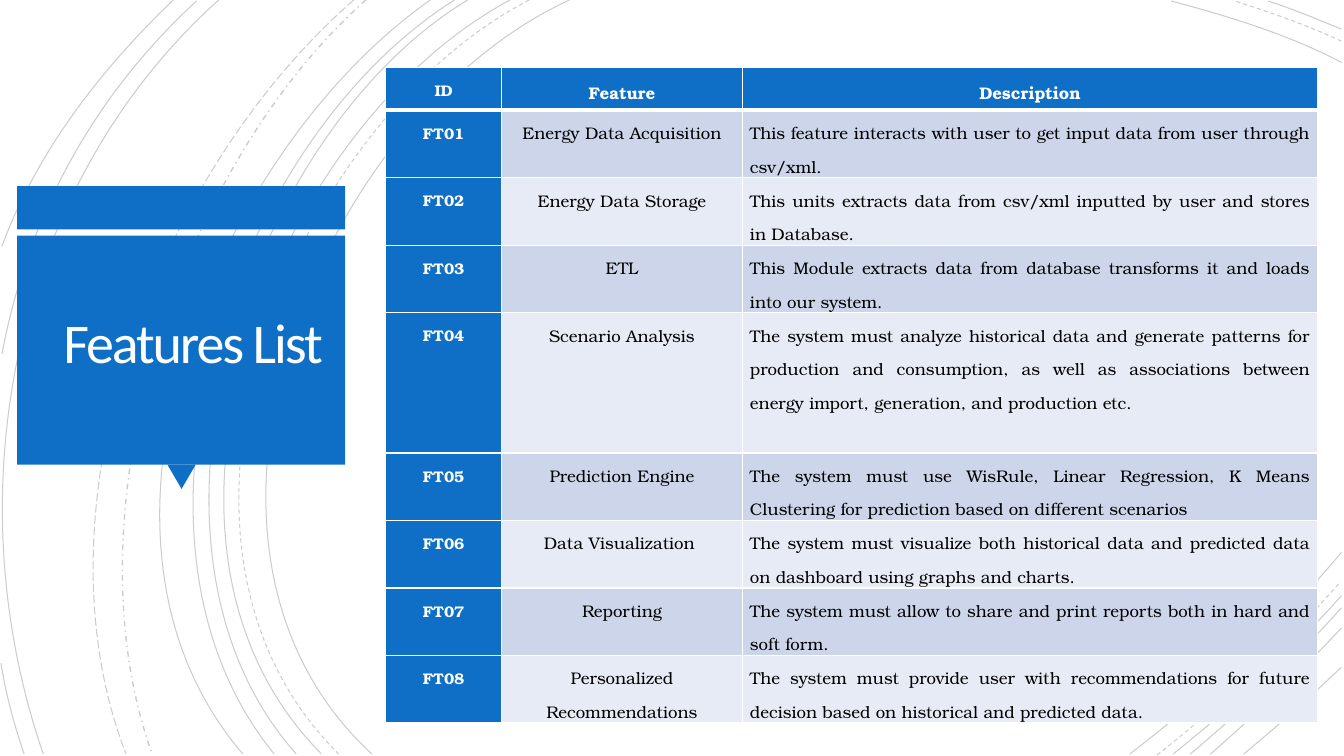
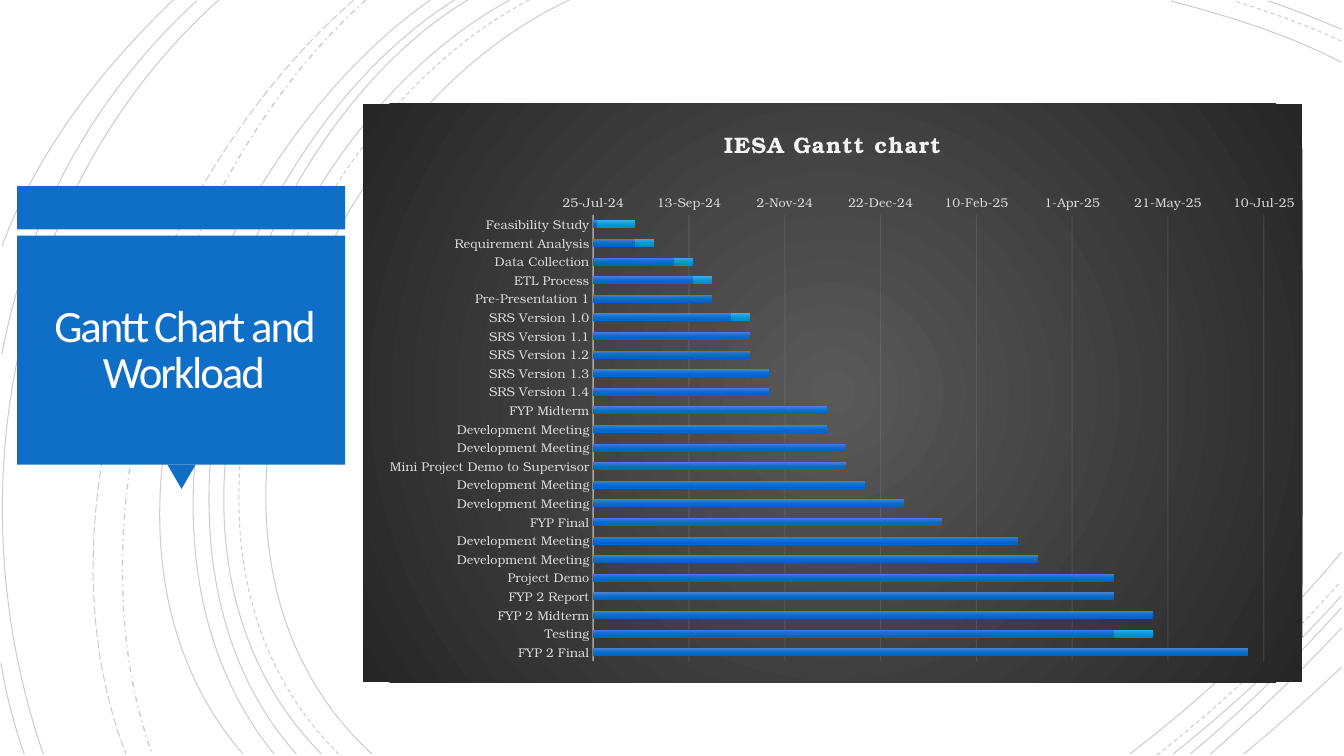
from lxml import etree
from pptx import Presentation, util as u
from pptx.chart.data import CategoryChartData
from pptx.dml.color import RGBColor
from pptx.enum import chart as ch, dml, shapes, text
from pptx.oxml.ns import qn

COLORS = {
    "accent": "0F6FC6", "band_dark": "CCD5EA", "band_light": "E7EBF5",
    "white": "FFFFFF", "title": "FFFEFF", "black": "000000",
    "label": "D9D9D9", "axis": "F2F2F2",
}
TITLE_FONT, BODY_FONT = "Calibri", "TeX Gyre Bonum"
ALIGN, DASH = text.PP_ALIGN, dml.MSO_LINE
GRID = 2.54  # cm per unit of the curve coordinates

# Bezier arcs: start, two controls, end
SOLID_ARCS = [
    (5.65, 0, 3.15, 1.15, 1.43, 5.4, 3.69, 7.48),
    (13.31, 0.62, 12.78, 0.34, 12.18, 0.16, 11.62, 0.01),
    (11.21, 7.48, 11.97, 6.9, 12.69, 6.22, 13.31, 5.48),
    (5.06, 0, 2.7, 1.27, 1.1, 5.37, 3.19, 7.48),
    (13.31, 0.29, 13.07, 0.19, 12.83, 0.09, 12.58, 0.01),
    (11.64, 7.48, 12.23, 7.01, 12.8, 6.48, 13.31, 5.91),
    (4.64, 0, 2.44, 1.33, 1.1, 5.41, 2.94, 7.48),
    (11.81, 7.48, 12.34, 7.04, 12.84, 6.55, 13.31, 6.03),
    (4.51, 0, 2.31, 1.38, 0.97, 5.33, 2.72, 7.48),
    (12.01, 7.48, 12.46, 7.09, 12.9, 6.67, 13.31, 6.23),
    (4.27, 0, 2.17, 1.47, 0.53, 5.29, 2.41, 7.48),
    (12.34, 7.48, 12.67, 7.21, 12.99, 6.92, 13.31, 6.62),
    (2.17, 0, 0.11, 1.85, -0.46, 4.9, 0.43, 7.48),
    (1.95, 0.01, 0.92, 0.96, 0.28, 2.14, 0.02, 3.51),
    (0.01, 6.58, 0.06, 6.89, 0.14, 7.19, 0.24, 7.48),
    (1.72, 0, 1, 0.69, 0.37, 1.5, 0.02, 2.44),
]
DASHED_ARCS = [
    (5.25, 0, 2.85, 1.25, 1.23, 5.37, 3.36, 7.48),
    (13.31, 0.41, 12.97, 0.25, 12.6, 0.12, 12.25, 0.01),
    (11.48, 7.49, 12.13, 6.98, 12.75, 6.4, 13.3, 5.77),
]
DASH_DOT_ARCS = [(3.63, 0, 1.76, 1.66, 0.65, 5.09, 1.51, 7.48)]
LONG_DASH_ARCS = [(3.51, 0, 1.57, 1.69, 0.29, 4.99, 1.25, 7.48)]
ARC_STYLES = [
    (SOLID_ARCS, DASH.SOLID, 0.75), (DASHED_ARCS, DASH.DASH, 0.75),
    (DASH_DOT_ARCS, DASH.DASH_DOT, 1), (LONG_DASH_ARCS, DASH.LONG_DASH, 0.75),
]

FEATURES = [
    ("Energy Data Acquisition",
     "This feature interacts with user to get input data from user through csv/xml."),
    ("Energy Data Storage",
     "This units extracts data from csv/xml inputted by user and stores in Database."),
    ("ETL",
     "This Module extracts data from database transforms it and loads into our system."),
    ("Scenario Analysis",
     "The system must analyze historical data and generate patterns for production and "
     "consumption, as well as associations between energy import, generation, and "
     "production etc."),
    ("Prediction Engine",
     "The system must use WisRule, Linear Regression, K Means Clustering for prediction "
     "based on different scenarios"),
    ("Data Visualization ",
     "The system must visualize both historical data and predicted data on dashboard "
     "using graphs and charts."),
    ("Reporting",
     "The system must allow to share and print reports both in hard and soft form."),
    ("Personalized Recommendations",
     "The system must provide user with recommendations for future decision based on "
     "historical and predicted data."),
]

# Task, start as a day number, length in days
TASKS = [
    ("Feasibility Study", 45500, 20), ("Requirement Analysis", 45520, 10),
    ("Data Collection", 45540, 10), ("ETL Process", 45550, 10),
    ("Pre-Presentation 1", 45560, 0), ("SRS Version 1.0", 45570, 10),
    ("SRS Version 1.1", 45580, 0), ("SRS Version 1.2", 45580, 0),
    ("SRS Version 1.3", 45590, 0), ("SRS Version 1.4", 45590, 0),
    ("FYP Midterm", 45620, 0), ("Development Meeting", 45620, 0),
    ("Development Meeting", 45630, 0), ("Mini Project Demo to Supervisor", 45630, 0),
    ("Development Meeting", 45640, 0), ("Development Meeting", 45660, 0),
    ("FYP Final", 45680, 0), ("Development Meeting", 45720, 0),
    ("Development Meeting", 45730, 0), ("Project Demo", 45770, 0),
    ("FYP 2 Report", 45770, 0), ("FYP 2 Midterm", 45790, 0),
    ("Testing", 45770, 20), ("FYP 2 Final", 45840, 0),
]
BAR_GRADIENTS = [("4C80D0", "066FCF", "0063BD"), ("4BA8E0", "009DD9", "008CC1")]


def rgb(name):
    return RGBColor.from_string(COLORS[name])


def box(*lengths):
    return [u.Cm(v) for v in lengths]


def sub(parent, tag, **attrs):
    return etree.SubElement(parent, qn(tag), {k: str(v) for k, v in attrs.items()})


def style_line(line, color, width, alpha):
    line.color.rgb = rgb(color)
    line.width = u.Pt(width)
    clr = line._get_or_add_ln().find(".//" + qn("a:srgbClr"))
    sub(clr, "a:alpha", val=alpha * 1000)


def style_font(font, size, color, bold=False, name=BODY_FONT):
    font.name, font.size, font.bold = name, u.Pt(size), bold
    font.color.rgb = rgb(color)


# Shared backdrop
def add_arc(s, arc, dash, width):
    start, *rest = [box(x * GRID, y * GRID) for x, y in zip(arc[::2], arc[1::2])]
    fb = s.shapes.build_freeform(*start)
    fb.add_line_segments(rest, close=False)
    sp = fb.convert_to_shape()
    # Turn the three segments into one cubic curve
    outline = sp.element.find(".//" + qn("a:path"))
    curve = sub(outline, "a:cubicBezTo")
    for segment in outline.findall(qn("a:lnTo")):
        curve.append(segment[0])
        outline.remove(segment)
    sp.shadow.inherit = False
    sp.fill.background()
    style_line(sp.line, "black", width, 20)
    sp.line.dash_style = dash
    return sp


def add_panel(s, kind, at, rotation=0):
    sp = s.shapes.add_shape(kind, *box(*at))
    sp.rotation = rotation
    sp.shadow.inherit = False
    sp.fill.solid()
    sp.fill.fore_color.rgb = rgb("accent")
    sp.line.fill.background()
    return sp


def add_backdrop(s, layout):
    """Draw the arcs and the title panel, then move them to the shared layout."""
    for sp in list(layout.placeholders)[1:]:
        layout.shapes.element.remove(sp.element)
    parts = [add_arc(s, arc, dash, width)
             for arcs, dash, width in ARC_STYLES for arc in arcs]
    kinds = shapes.MSO_SHAPE
    parts += [
        add_panel(s, kinds.RECTANGLE, (0.43, 4.69, 8.27, 1.09)),
        add_panel(s, kinds.ISOSCELES_TRIANGLE, (4.22, 11.71, 0.71, 0.61), 180),
        add_panel(s, kinds.RECTANGLE, (0.43, 5.94, 8.27, 5.77)),
    ]
    for number, sp in enumerate(parts, 100):
        sp.element.nvSpPr.cNvPr.set("id", str(number))
        layout.shapes.element.append(sp.element)


def set_title(s, title, size, left, top):
    sp = s.shapes.title
    sp.left, sp.top, sp.width, sp.height = box(left, top, 9.73, 6.83)
    tf = sp.text_frame
    tf.auto_size = text.MSO_AUTO_SIZE.NONE
    tf.word_wrap = True
    tf.vertical_anchor = text.MSO_ANCHOR.MIDDLE
    tf.margin_left = tf.margin_right = tf.margin_top = tf.margin_bottom = u.Cm(0.64)
    p = tf.paragraphs[0]
    p.alignment, p.line_spacing = ALIGN.CENTER, 0.85
    r = p.add_run()
    r.text = title
    style_font(r.font, size, "title", name=TITLE_FONT)
    r._r.get_or_add_rPr().set("spc", "-150")


# Table
def fill_cell(cell, words, fill, size, color, bold, align, bottom=1):
    tcPr = cell._tc.get_or_add_tcPr()
    for side, width in zip("LRTB", (1, 1, 1, bottom)):
        ln = sub(tcPr, "a:ln" + side, w=u.Pt(width))
        sub(sub(ln, "a:solidFill"), "a:srgbClr", val=COLORS["white"])
    cell.fill.solid()
    cell.fill.fore_color.rgb = rgb(fill)
    cell.margin_left = cell.margin_right = u.Cm(0.19)
    cell.margin_top = cell.margin_bottom = 0
    p = cell.text_frame.paragraphs[0]
    p.alignment, p.line_spacing = align, 1.5
    r = p.add_run()
    r.text = words
    style_font(r.font, size, color, bold)


def add_feature_table(s):
    widths = (2.92, 6.07, 14.5)
    heights = [1.07] + [1.7] * len(FEATURES)
    heights[4] = 3.53
    at = box(9.72, 1.71, sum(widths), sum(heights))
    table = s.shapes.add_table(len(heights), len(widths), *at).table
    table.horz_banding = False
    for col, width in zip(table.columns, widths):
        col.width = u.Cm(width)
    for row, height in zip(table.rows, heights):
        row.height = u.Cm(height)
    for c, head in enumerate(("ID", "Feature", "Description")):
        fill_cell(table.cell(0, c), head, "accent", 12 if c else 11, "white", True,
                  ALIGN.CENTER, bottom=3)
    for n, (feature, description) in enumerate(FEATURES, 1):
        band = "band_dark" if n % 2 else "band_light"
        fill_cell(table.cell(n, 0), f"FT{n:02}", "accent", 11, "white", True, ALIGN.CENTER)
        fill_cell(table.cell(n, 1), feature, band, 12, "black", False, ALIGN.CENTER)
        fill_cell(table.cell(n, 2), description, band, 12, "black", False, ALIGN.JUSTIFY)


# Chart
def add_gradient(spPr, stops, circle=False):
    """Put evenly spaced stops into spPr, top to bottom or from the centre."""
    grad = sub(spPr, "a:gradFill", rotWithShape=1)
    gsLst = sub(grad, "a:gsLst")
    for i, stop in enumerate(stops):
        gs = sub(gsLst, "a:gs", pos=100000 * i // (len(stops) - 1))
        sub(gs, "a:srgbClr", val=stop)
    if circle:
        sub(sub(grad, "a:path", path="circle"), "a:fillToRect",
            l=50000, t=50000, r=50000, b=50000)
    else:
        sub(grad, "a:lin", ang=5400000, scaled=0)


def place(parent, index, **fractions):
    """Give a chart part a manual layout, as fractions of the chart."""
    for old in parent.findall(qn("c:layout")):
        parent.remove(old)
    layout = etree.Element(qn("c:layout"))
    parent.insert(index, layout)
    manual = sub(layout, "c:manualLayout")
    if "w" in fractions:
        sub(manual, "c:layoutTarget", val="inner")
    for key in "xy":
        sub(manual, f"c:{key}Mode", val="edge")
    for key, value in fractions.items():
        sub(manual, "c:" + key, val=value)


def style_axis(axis):
    axis.major_tick_mark = axis.minor_tick_mark = ch.XL_TICK_MARK.NONE
    style_font(axis.tick_labels.font, 9, "label")


def add_gantt(s):
    names, starts, days = zip(*TASKS)
    data = CategoryChartData()
    data.categories = names
    data.add_series("Series 1", starts)
    data.add_series("Series 2", days)
    chart = s.shapes.add_chart(ch.XL_CHART_TYPE.BAR_STACKED,
                               *box(9.15, 2.62, 23.67, 14.57), data).chart
    chart.has_legend = False
    style_font(chart.font, 10, "black")

    # Dark background
    space = chart._chartSpace
    spPr = etree.Element(qn("c:spPr"))
    space.find(qn("c:txPr")).addprevious(spPr)
    add_gradient(spPr, ("595959", "262626"), circle=True)
    sub(sub(spPr, "a:ln"), "a:noFill")

    # Title and plot area
    chart.has_title = True
    r = chart.chart_title.text_frame.paragraphs[0].add_run()
    r.text = "IESA Gantt chart"
    style_font(r.font, 16, "axis", True)
    r._r.get_or_add_rPr().set("spc", "100")
    place(space.find(".//" + qn("c:title")), 1, x=0.38, y=0.03)
    place(space.find(".//" + qn("c:plotArea")), 0, x=0.245, y=0.192, w=0.714, h=0.772)

    # Bars
    plot = chart.plots[0]
    plot.vary_by_categories = False
    plot.gap_width, plot.overlap = 150, 100
    for ser, stops in zip(plot.series, BAR_GRADIENTS):
        add_gradient(ser._element.get_or_add_spPr(), stops)

    # Axes
    cat, val = chart.category_axis, chart.value_axis
    for axis in (cat, val):
        style_axis(axis)
    cat.reverse_order = True
    style_line(cat.format.line, "axis", 1, 54)
    val.minimum_scale, val.maximum_scale, val.major_unit = 45498, 45848, 50
    val.format.line.fill.background()
    style_line(val.major_gridlines.format.line, "axis", 0.75, 10)
    val.tick_labels.number_format = r"[$-409]d\-mmm\-yy;@"
    val.tick_labels.number_format_is_linked = False


def main():
    prs = Presentation()
    prs.slide_width, prs.slide_height = box(33.87, 19.05)
    layout = prs.slide_layouts[5]

    # Features
    s = prs.slides.add_slide(layout)
    add_backdrop(s, layout)
    set_title(s, "Features List", 40, 0, 5.31)
    add_feature_table(s)

    # Schedule
    s = prs.slides.add_slide(layout)
    set_title(s, "Gantt Chart and Workload", 32, -0.23, 5.45)
    add_gantt(s)

    prs.save("out.pptx")


if __name__ == "__main__":
    main()
